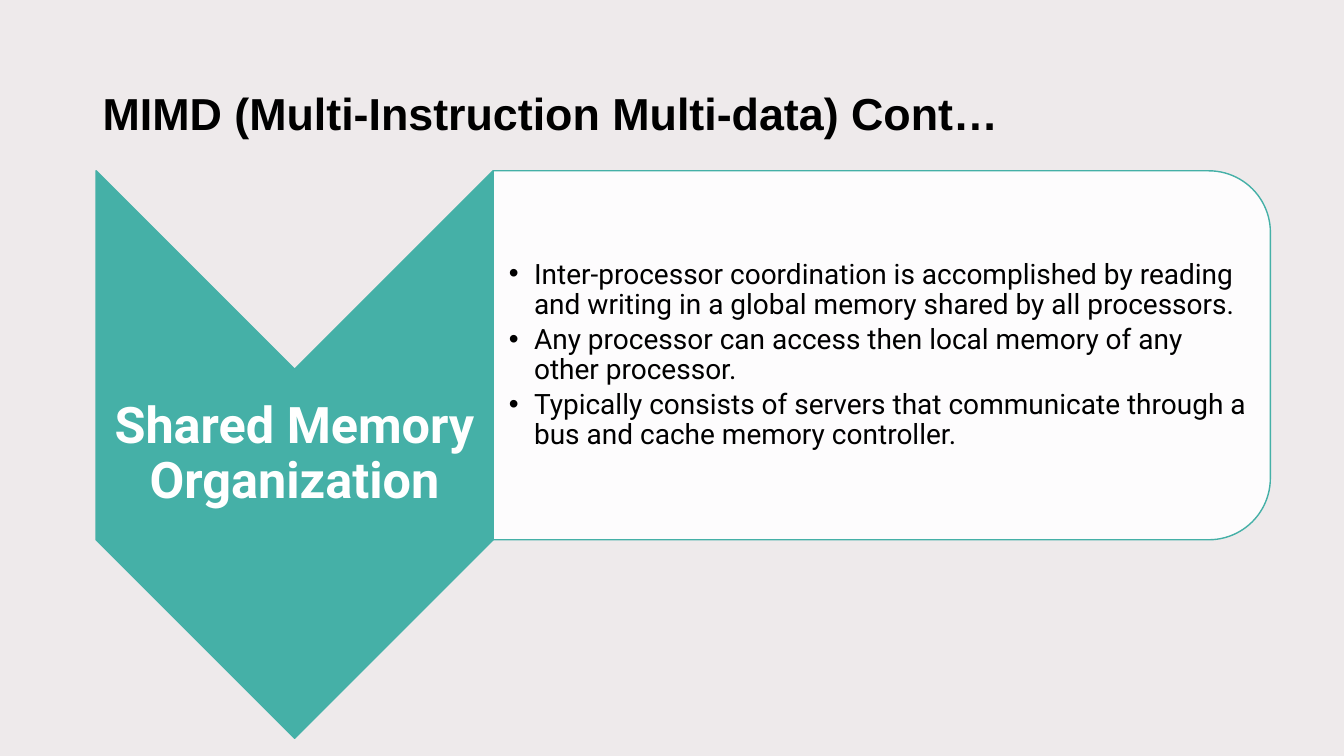
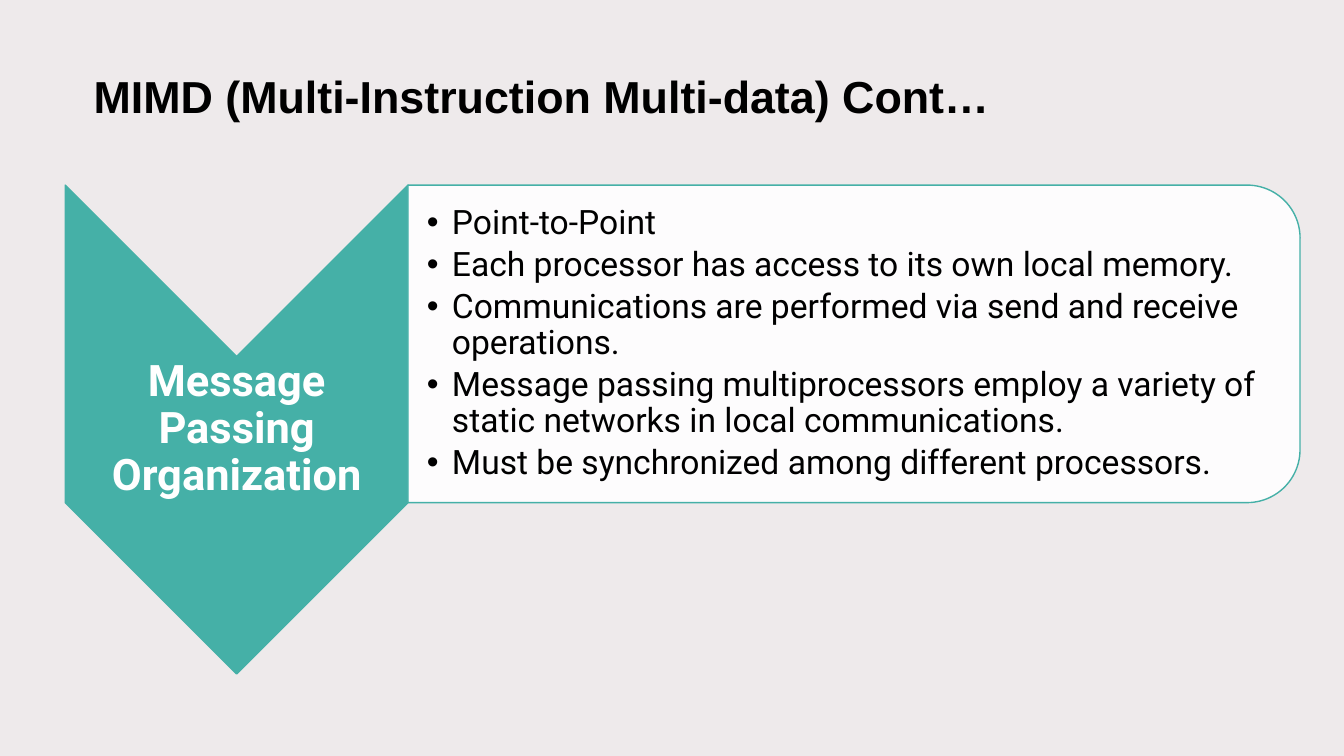
from lxml import etree
from pptx import Presentation
from pptx.dml.color import RGBColor
from pptx.enum import shapes, text
from pptx.oxml import ns
from pptx.util import Pt

SLIDE_W, SLIDE_H = 960, 540
WHITE = RGBColor(0xFF, 0xFF, 0xFF)
BLACK = RGBColor(0x00, 0x00, 0x00)
TEAL = RGBColor(0x45, 0xB0, 0xA7)
VEIL = RGBColor(0xE8, 0xE2, 0xE3)
HEADING_FONT, BODY_FONT = "Arial", "Roboto"
BULLET_INDENT = 18
CORNER_RATIO = 0.17  # corner radius as a share of the panel height
CORNER_INSET = 0.29  # share of the radius that the text keeps clear of

TITLE = "MIMD (Multi-Instruction Multi-data) Cont…"
SLIDES = [
    dict(
        title_box=(66.2, 43.9, 784, 77.8),
        arrow_box=(68.6, 122, 283.7, 405.4),
        panel_width=555.1,
        label="Shared Memory Organization", label_size=36,
        points=[
            "Inter-processor coordination is accomplished by reading and writing "
            "in a global memory shared by all processors.",
            "Any processor can access then local memory of any other processor.",
            "Typically consists of servers that communicate through a bus and "
            "cache memory controller.",
        ],
        point_size=20,
    ),
    dict(
        title_box=(59.8, 32.4, 763.2, 77),
        arrow_box=(46.6, 132.2, 244.8, 349.2),
        panel_width=637.2,
        label="Message Passing Organization", label_size=31,
        points=[
            "Point-to-Point",
            "Each processor has access to its own local memory.",
            "Communications are performed via send and receive operations.",
            "Message passing multiprocessors employ a variety of static networks "
            "in local communications.",
            "Must be synchronized among different processors.",
        ],
        point_size=24,
    ),
]


def add_filled(slide, kind, box, fill, opacity=100, line=None, turned=False):
    """Add a shape that covers box; a turned one is rotated a quarter clockwise."""
    left, top, width, height = box
    if turned:
        left, top = left + (width - height) / 2, top + (height - width) / 2
        width, height = height, width
    shape = slide.shapes.add_shape(kind, Pt(left), Pt(top), Pt(width), Pt(height))
    shape.rotation = 90 if turned else 0
    shape.shadow.inherit = False
    shape.fill.solid()
    shape.fill.fore_color.rgb = fill
    if opacity < 100:
        color = shape.fill._xPr.find(".//" + ns.qn("a:srgbClr"))
        etree.SubElement(color, ns.qn("a:alpha"), val=str(opacity * 1000))
    if line is None:
        shape.line.fill.background()
    else:
        shape.line.color.rgb = line
        shape.line.width = Pt(1)


def add_text(slide, box, paragraphs, *, size, font, color, bold=False,
             align=text.PP_ALIGN.LEFT, insets=(7.2, 3.6, 7.2, 3.6),
             space_after=0, bullets=False):
    frame = slide.shapes.add_textbox(*map(Pt, box)).text_frame
    frame.word_wrap = True
    frame.vertical_anchor = text.MSO_ANCHOR.MIDDLE
    (frame.margin_left, frame.margin_top,
     frame.margin_right, frame.margin_bottom) = map(Pt, insets)
    for index, wording in enumerate(paragraphs):
        paragraph = frame.add_paragraph() if index else frame.paragraphs[0]
        paragraph.alignment = align
        paragraph.line_spacing = 0.9
        paragraph.space_after = Pt(space_after)
        run = paragraph.add_run()
        run.text = wording
        run.font.size, run.font.name, run.font.bold = Pt(size), font, bold
        run.font.color.rgb = color
        if bullets:
            props = paragraph._p.get_or_add_pPr()
            props.set("marL", str(Pt(BULLET_INDENT)))
            props.set("indent", str(-Pt(BULLET_INDENT)))
            etree.SubElement(props, ns.qn("a:buFont"), typeface=HEADING_FONT)
            etree.SubElement(props, ns.qn("a:buChar"), char="•")


def add_backdrop(slide):
    slide.background.fill.solid()
    slide.background.fill.fore_color.rgb = WHITE
    add_filled(slide, shapes.MSO_SHAPE.RECTANGLE, (0, 0, SLIDE_W, SLIDE_H),
               VEIL, opacity=70)


def add_arrow(slide, box, label, size):
    """Downward chevron with its label between notch and shoulders."""
    left, top, width, height = box
    add_filled(slide, shapes.MSO_SHAPE.CHEVRON, box, TEAL, line=TEAL, turned=True)
    add_text(slide, (left, top + width / 2, width, height - width), [label],
             size=size, font=BODY_FONT, color=WHITE, bold=True,
             align=text.PP_ALIGN.CENTER, insets=(size * 0.05,) * 4,
             space_after=size * 0.35)


def add_panel(slide, box, points, size):
    """Panel rounded on the right, with bulleted points."""
    left, top, width, height = box
    add_filled(slide, shapes.MSO_SHAPE.ROUND_2_SAME_RECTANGLE, box, WHITE,
               opacity=90, line=TEAL, turned=True)
    inset = height * CORNER_RATIO * CORNER_INSET
    edge = size * 0.05
    add_text(slide, (left, top + inset, width - inset, height - 2 * inset), points,
             size=size, font=BODY_FONT, color=BLACK,
             insets=(size * 0.56, edge, edge, edge),
             space_after=size * 0.17, bullets=True)


def build_slide(deck, content):
    slide = deck.slides.add_slide(deck.slide_layouts[6])
    add_backdrop(slide)
    add_text(slide, content["title_box"], [TITLE], size=32, font=HEADING_FONT,
             color=BLACK, bold=True)
    left, top, width, height = content["arrow_box"]
    add_arrow(slide, content["arrow_box"], content["label"], content["label_size"])
    # The panel ends where the arrow's shoulders start to narrow
    panel_box = (left + width, top, content["panel_width"], height - width / 2)
    add_panel(slide, panel_box, content["points"], content["point_size"])


def main():
    deck = Presentation()
    deck.slide_width, deck.slide_height = Pt(SLIDE_W), Pt(SLIDE_H)
    for content in SLIDES:
        build_slide(deck, content)
    deck.save("out.pptx")


if __name__ == "__main__":
    main()
